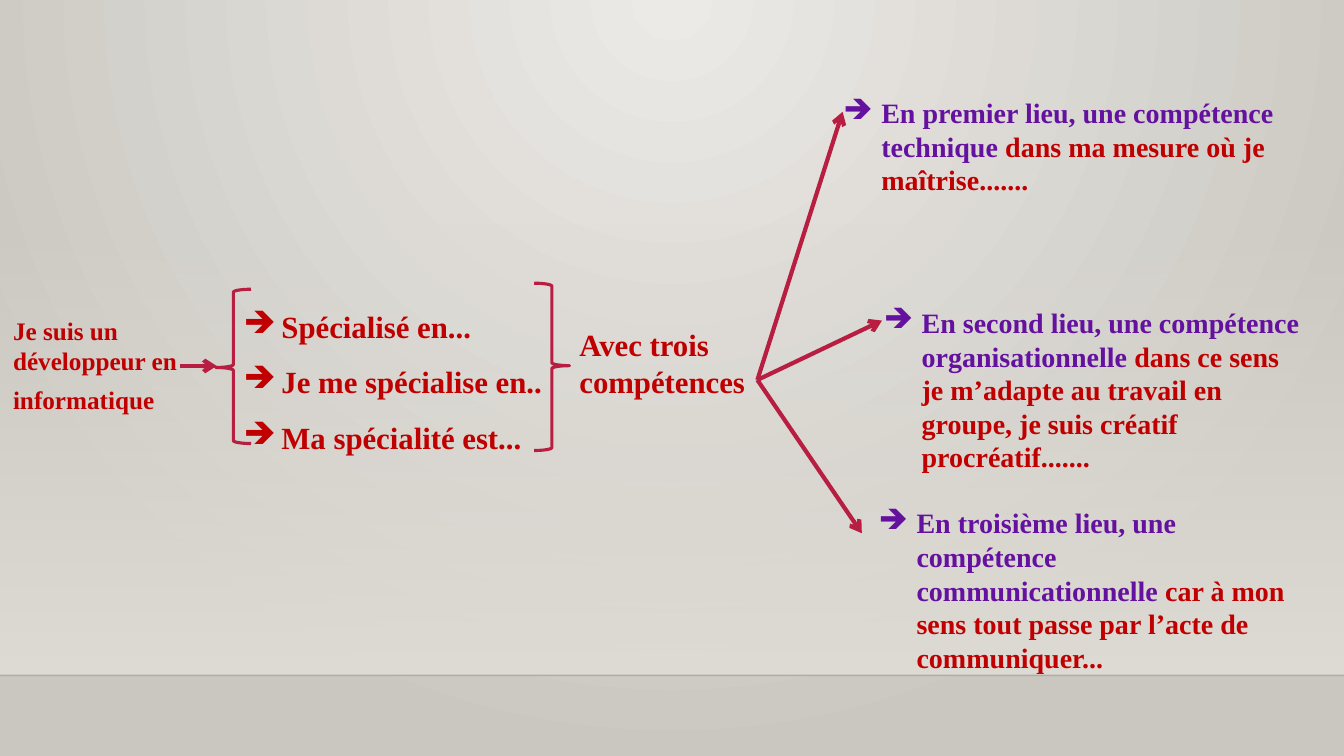
from lxml import etree
from pptx import Presentation
from pptx import util as u
from pptx.dml.color import RGBColor
from pptx.enum import shapes, text
from pptx.oxml.ns import qn

THEME = {
    "font": "Times New Roman",
    "red": "C00000", "purple": "6511A0", "accent": "B71E42",
    "glow": "ECEAE7", "edge": "CAC7C1", "wall": "DFDBD5", "floor": "000001",
    "small": 18, "body": 20, "large": 22, "gap": 24,
    "brace": 2.25, "arrow": 3, "floor_line": 1,
}
SLIDE = (960, 540)
WALL_TOP, FLOOR = 159.1, 482.4
INDENT = 27

RED, PURPLE = THEME["red"], THEME["purple"]
SMALL, BODY, LARGE = THEME["small"], THEME["body"], THEME["large"]

INTRO = [[("Je suis un développeur en informatique", SMALL, RED), (" ", THEME["gap"], RED)]]
SKILLS = [[("Avec trois compétences", LARGE, RED)]]
SPECIALITIES = [[(line, LARGE, RED)] for line in
                ("Spécialisé en...", "Je me spécialise en..", "Ma spécialité est...")]
COMPETENCES = [
    ((595.4, 64.8, 346.3, 79.9), "En premier lieu, une compétence technique ",
     "dans ma mesure où je maîtrise......."),
    ((624.2, 214.6, 315.4, 128.2), "En second lieu, une compétence organisationnelle ",
     "dans ce sens je m’adapte au travail en groupe, je suis créatif procréatif......."),
    ((620.6, 357.8, 312.5, 128.2), "En troisième lieu, une compétence communicationnelle ",
     "car à mon sens tout passe par l’acte de communiquer..."),
]
BRACES = [((154.1, 206.6, 25.2, 110.2), 180), ((381.6, 202.3, 25.2, 119.5), 0)]
FORK = (541, 271.4)
ARROWS = [((128.9, 261.4), (154.8, 261.4))] + [
    (FORK, tip) for tip in ((601.9, 79.9), (630, 229), (615.6, 380.9))]


def points(values):
    return [u.Pt(value) for value in values]


def colour(name):
    return RGBColor.from_string(name)


def set_alpha(element, percent):
    etree.SubElement(element, qn("a:alpha")).set("val", str(percent * 1000))


def set_gradient(fill, start, end):
    fill.gradient()
    for stop, name, position in zip(fill.gradient_stops, (start, end), (0, 1)):
        stop.color.rgb = colour(name)
        stop.position = position


def add_background(slide):
    set_gradient(slide.background.fill, THEME["glow"], THEME["edge"])
    linear = slide._element.xpath(".//p:bg//a:lin")[0]
    radial = etree.Element(qn("a:path"))
    radial.set("path", "circle")
    focus = etree.SubElement(radial, qn("a:fillToRect"))
    for side, percent in zip("ltrb", (43, 0, 43, 100)):
        focus.set(side, str(percent * 1000))
    linear.getparent().replace(linear, radial)


def add_wall(slide):
    shape = slide.shapes.add_shape(shapes.MSO_SHAPE.RECTANGLE,
                                   *points((0, WALL_TOP, SLIDE[0], FLOOR - WALL_TOP)))
    shape.shadow.inherit = False
    set_gradient(shape.fill, THEME["wall"], THEME["wall"])
    shape.fill.gradient_angle = 270
    set_alpha(shape._element.xpath(".//a:gs/a:srgbClr")[0], 0)
    shape.line.fill.background()


def add_line(slide, start, end, name, width):
    line = slide.shapes.add_connector(shapes.MSO_CONNECTOR.STRAIGHT, *points(start + end))
    line.line.color.rgb = colour(name)
    line.line.width = u.Pt(width)
    etree.SubElement(line._element.spPr, qn("a:effectLst"))
    return line


def add_arrow(slide, start, end):
    arrow = add_line(slide, start, end, THEME["accent"], THEME["arrow"])
    etree.SubElement(arrow.line._get_or_add_ln(), qn("a:tailEnd")).set("type", "arrow")


def add_brace(slide, box, rotation):
    brace = slide.shapes.add_shape(shapes.MSO_SHAPE.RIGHT_BRACE, *points(box))
    brace.shadow.inherit = False
    brace.fill.background()
    brace.line.color.rgb = colour(THEME["accent"])
    brace.line.width = u.Pt(THEME["brace"])
    brace.rotation = rotation
    brace.adjustments[0] = 0.083
    brace.adjustments[1] = 0.493


def add_bullet(paragraph):
    properties = paragraph._p.get_or_add_pPr()
    properties.set("marL", str(u.Pt(INDENT)))
    properties.set("indent", str(-u.Pt(INDENT)))
    etree.SubElement(properties, qn("a:buChar")).set("char", "➔")


def add_text(slide, box, paragraphs, bullets=False, spacing=None):
    frame = slide.shapes.add_textbox(*points(box)).text_frame
    frame.word_wrap = True
    frame.auto_size = text.MSO_AUTO_SIZE.SHAPE_TO_FIT_TEXT
    for index, runs in enumerate(paragraphs):
        paragraph = frame.add_paragraph() if index else frame.paragraphs[0]
        if spacing:
            paragraph.line_spacing = spacing
        if bullets:
            add_bullet(paragraph)
        for wording, size, name in runs:
            run = paragraph.add_run()
            run.text = wording
            run.font.name = THEME["font"]
            run.font.size = u.Pt(size)
            run.font.bold = True
            run.font.color.rgb = colour(name)


def main():
    presentation = Presentation()
    presentation.slide_width, presentation.slide_height = points(SLIDE)
    slide = presentation.slides.add_slide(presentation.slide_layouts[6])
    add_background(slide)
    add_wall(slide)
    floor = add_line(slide, (0, FLOOR), (SLIDE[0], FLOOR), THEME["floor"], THEME["floor_line"])
    set_alpha(floor._element.xpath(".//a:ln//a:srgbClr")[0], 20)
    add_text(slide, (2.2, 221.8, 181.4, 79.9), INTRO)
    add_text(slide, (406.8, 229, 134.6, 60.5), SKILLS)
    for box, rotation in BRACES:
        add_brace(slide, box, rotation)
    add_text(slide, (167, 203, 256.3, 127.4), SPECIALITIES, bullets=True, spacing=1.5)
    for start, end in ARROWS:
        add_arrow(slide, start, end)
    for box, title, detail in COMPETENCES:
        add_text(slide, box, [[(title, BODY, PURPLE), (detail, BODY, RED)]], bullets=True)
    presentation.save("out.pptx")


if __name__ == "__main__":
    main()
